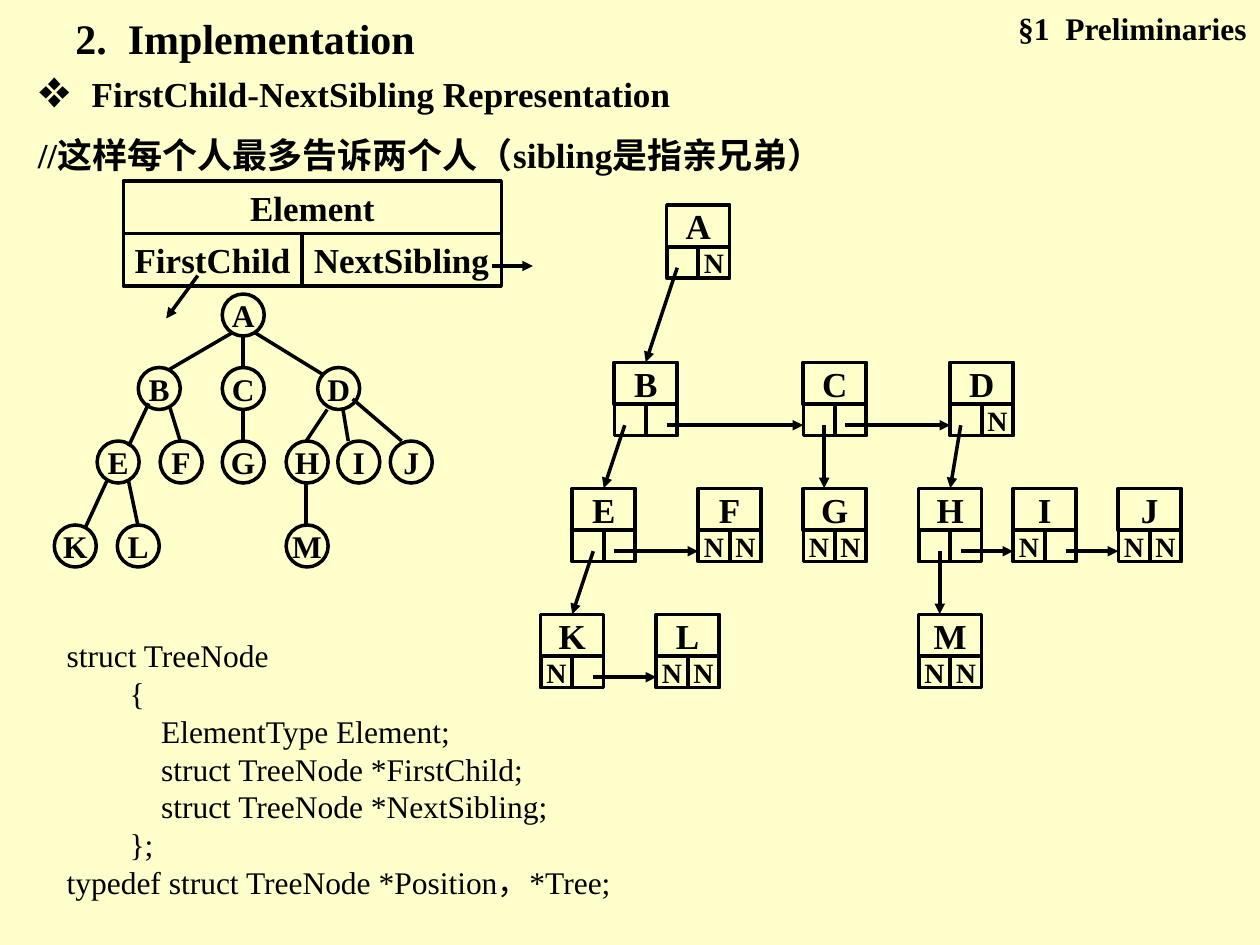
from dataclasses import dataclass
from typing import NamedTuple, Optional

from lxml.etree import SubElement
from pptx import Presentation
from pptx.dml.color import RGBColor
from pptx.enum.shapes import MSO_CONNECTOR, MSO_SHAPE
from pptx.enum.text import MSO_ANCHOR, PP_ALIGN
from pptx.oxml.ns import qn
from pptx.shapes.shapetree import GroupShapes
from pptx.slide import Slide
from pptx.util import Pt


@dataclass(frozen=True)
class Theme:
    font: str = "Times New Roman"
    ink: RGBColor = RGBColor(0x00, 0x00, 0x00)
    paper: RGBColor = RGBColor(0xFF, 0xFF, 0xCC)
    line: float = 2
    title: float = 24
    body: float = 20
    small: float = 18
    null: float = 16


class Box(NamedTuple):
    x: float
    y: float
    w: float
    h: float


class Line(NamedTuple):
    x1: float
    y1: float
    x2: float
    y2: float


class Circle(NamedTuple):
    name: str
    x: float
    y: float


class Node(NamedTuple):
    """A linked node; *_from and child_to are x offsets within a node."""
    name: str
    x: float
    y: float
    child: str = ""
    child_from: float = 0
    child_to: float = 0
    sibling: str = ""
    sibling_from: float = 0


THEME = Theme()
CIRCLE = 24
NODE_W, NAME_H, LINK = 36, 24, 18
LINK_Y = 36  # where arrows leave a node, below its top

RECORD = [
    ("Element", Box(70.5, 103.5, 216, 30)),
    ("FirstChild", Box(70.5, 133.5, 102, 30)),
    ("NextSibling", Box(172.5, 133.5, 114, 30)),
]
RECORD_ARROWS = [Line(113, 157.5, 95, 182), Line(281, 152, 304.5, 152)]

ROW1, ROW2, ROW3, ROW4 = 168, 210, 252, 300
CIRCLES = [
    Circle("A", 127, ROW1),
    Circle("B", 79, ROW2), Circle("C", 127, ROW2), Circle("D", 181.5, ROW2),
    Circle("E", 55.5, ROW3), Circle("F", 91.5, ROW3), Circle("G", 127, ROW3),
    Circle("H", 163.5, ROW3), Circle("I", 193, ROW3), Circle("J", 223, ROW3),
    Circle("K", 31, ROW4), Circle("L", 67, ROW4), Circle("M", 163.5, ROW4),
]
EDGES = [
    Line(133, 190, 97, 211), Line(139, 192, 139, 210), Line(145.5, 190, 184.5, 214),
    Line(85, 230.5, 73.5, 255), Line(97, 232.5, 103, 252), Line(139, 234, 139, 252),
    Line(187, 234, 175, 252), Line(196, 234, 199, 252), Line(201.5, 228, 229.5, 252),
    Line(61, 275, 49, 301), Line(73.5, 275, 79, 301), Line(175, 276, 175, 300),
]

LEVEL1, LEVEL2, LEVEL3, LEVEL4 = 117, 207, 279, 351
NODES = [
    Node("A", 381, LEVEL1, "B", 6, 18),
    Node("B", 351, LEVEL2, "E", 6, 18, "C", 30),
    Node("C", 459, LEVEL2, "G", 12, 12, "D", 24),
    Node("D", 543, LEVEL2, "H", 6, 18),
    Node("E", 327, LEVEL3, "K", 12, 18, "F", 24),
    Node("F", 399, LEVEL3),
    Node("G", 459, LEVEL3),
    Node("H", 525, LEVEL3, "M", 12, 12, "I", 24),
    Node("I", 579, LEVEL3, sibling="J", sibling_from=30),
    Node("J", 639, LEVEL3),
    Node("K", 309, LEVEL4, sibling="L", sibling_from=30),
    Node("L", 375, LEVEL4),
    Node("M", 525, LEVEL4),
]

CODE = """struct TreeNode
        {
            ElementType Element;
            struct TreeNode *FirstChild;
            struct TreeNode *NextSibling;
        };
typedef struct TreeNode *Position，*Tree;"""


def set_font(p, size: float, bold: bool = True) -> None:
    f = p.font
    f.name, f.size, f.bold = THEME.font, Pt(size), bold
    f.color.rgb = THEME.ink


def add_text(s: Slide, box: Box, lines: list[str], size: float, bold: bool = True,
             align: Optional[PP_ALIGN] = None, gap: float = 0):
    tf = s.shapes.add_textbox(*map(Pt, box)).text_frame
    tf.word_wrap = True
    for i, text in enumerate(lines):
        p = tf.paragraphs[0] if i == 0 else tf.add_paragraph()
        p.add_run().text = text
        p.alignment = align
        if i and gap:
            p.space_before = Pt(gap)
        set_font(p, size, bold)
    return tf


def add_outline(shapes: GroupShapes, kind: MSO_SHAPE, box: Box, text: str,
                size: float) -> None:
    """Draw an unfilled shape with a centred label."""
    sp = shapes.add_shape(kind, *map(Pt, box))
    sp.shadow.inherit = False
    sp.fill.background()
    sp.line.color.rgb = THEME.ink
    sp.line.width = Pt(THEME.line)
    if not text:
        return
    tf = sp.text_frame
    tf.word_wrap = False
    tf.vertical_anchor = MSO_ANCHOR.MIDDLE
    tf.margin_left = tf.margin_right = tf.margin_top = tf.margin_bottom = 0
    p = tf.paragraphs[0]
    p.add_run().text = text
    p.alignment = PP_ALIGN.CENTER
    set_font(p, size)


def add_line(shapes: GroupShapes, line: Line, arrow: bool = False) -> None:
    c = shapes.add_connector(MSO_CONNECTOR.STRAIGHT, *map(Pt, line))
    c.line.color.rgb = THEME.ink
    c.line.width = Pt(THEME.line)
    sp_pr = c.element.spPr
    if arrow:
        SubElement(sp_pr.find(qn("a:ln")), qn("a:tailEnd"), type="triangle")
    SubElement(sp_pr, qn("a:effectLst"))


def add_node(shapes: GroupShapes, n: Node) -> None:
    rect, link_y = MSO_SHAPE.RECTANGLE, n.y + NAME_H
    for i, target in enumerate((n.child, n.sibling)):
        add_outline(shapes, rect, Box(n.x + i * LINK, link_y, LINK, LINK),
                    "" if target else "N", THEME.null)
    add_outline(shapes, rect, Box(n.x, n.y, NODE_W, NAME_H), n.name, THEME.body)


def add_links(shapes: GroupShapes, n: Node, by_name: dict[str, Node]) -> None:
    y = n.y + LINK_Y
    if n.child:
        to = by_name[n.child]
        add_line(shapes, Line(n.x + n.child_from, y, to.x + n.child_to, to.y), True)
    if n.sibling:
        add_line(shapes, Line(n.x + n.sibling_from, y, by_name[n.sibling].x, y), True)


def main() -> None:
    prs = Presentation()
    prs.slide_width, prs.slide_height = Pt(720), Pt(540)
    s = prs.slides.add_slide(prs.slide_layouts[6])
    s.background.fill.solid()
    s.background.fill.fore_color.rgb = THEME.paper

    tf = add_text(s, Box(14.5, 34, 698, 73),
                  ["❖  ", "//这样每个人最多告诉两个人（sibling是指亲兄弟）"], THEME.body, gap=10)
    p = tf.paragraphs[0]
    p.runs[0].font.size = Pt(THEME.title)
    p.add_run().text = "FirstChild-NextSibling Representation"

    record = s.shapes.add_group_shape().shapes
    for text, box in RECORD:
        add_outline(record, MSO_SHAPE.RECTANGLE, box, text, THEME.body)
    for line in RECORD_ARROWS:
        add_line(record, line, arrow=True)

    tree = s.shapes.add_group_shape().shapes
    for c in CIRCLES:
        add_outline(tree, MSO_SHAPE.OVAL, Box(c.x, c.y, CIRCLE, CIRCLE), c.name, THEME.small)
    for line in EDGES:
        add_line(tree, line)

    linked = s.shapes.add_group_shape().shapes
    by_name = {n.name: n for n in NODES}
    for n in NODES:
        add_node(linked, n)
    for n in NODES:
        add_links(linked, n, by_name)

    add_text(s, Box(546, 1.5, 173.5, 29), ["§1  Preliminaries"], THEME.small,
             align=PP_ALIGN.RIGHT)
    add_text(s, Box(31, 360, 472, 180), CODE.split("\n"), THEME.small, bold=False)
    add_text(s, Box(36, 3.6, 234, 36), ["2.  Implementation"], THEME.title)
    prs.save("out.pptx")


if __name__ == "__main__":
    main()
